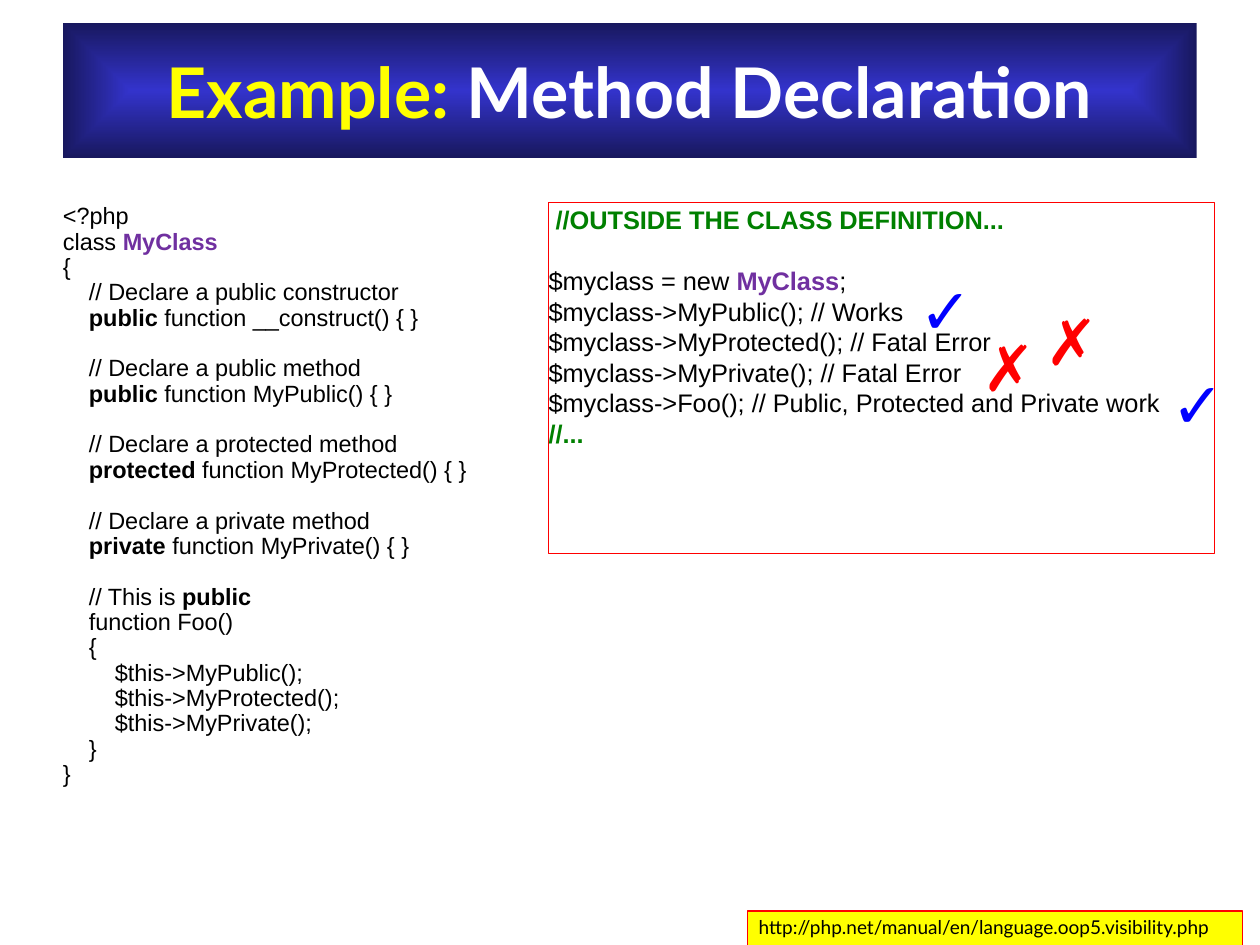
from lxml import etree
from pptx import Presentation
from pptx import util as u
from pptx.dml.color import RGBColor
from pptx.enum import shapes, text
from pptx.oxml import ns

COLORS = {
    "black": "000000", "white": "FFFFFF", "red": "FF0000", "blue": "0000FF",
    "green": "008000", "purple": "7030A0", "yellow": "FFFF00",
    "banner_center": "3333CC", "banner_edge": "18185E",
}

# A line is a list of (words, style) runs; an empty line is a gap above the next.
PLAIN = ("black", False)
KEYWORD = ("black", True)
CLASS_NAME = ("purple", True)
REMARK = ("green", True)

TITLE = [[("Example: ", ("yellow", True)), ("Method Declaration", ("white", True))]]
URL = [[("http://php.net/manual/en/language.oop5.visibility.php", PLAIN)]]
CLASS_CODE = [
    [("<?php", PLAIN)],
    [("class ", PLAIN), ("MyClass", CLASS_NAME)],
    [("{", PLAIN)],
    [("    // Declare a public constructor", PLAIN)],
    [("    ", PLAIN), ("public", KEYWORD), (" function __construct() { }", PLAIN)],
    [],
    [("    // Declare a public method", PLAIN)],
    [("    ", PLAIN), ("public", KEYWORD), (" function MyPublic() { }", PLAIN)],
    [],
    [("    // Declare a protected method", PLAIN)],
    [("    ", PLAIN), ("protected", KEYWORD), (" function MyProtected() { }", PLAIN)],
    [],
    [("    // Declare a private method", PLAIN)],
    [("    ", PLAIN), ("private", KEYWORD), (" function MyPrivate() { }", PLAIN)],
    [],
    [("    // This is ", PLAIN), ("public", KEYWORD)],
    [("    function Foo()", PLAIN)],
    [("    {", PLAIN)],
    [("        $this->MyPublic();", PLAIN)],
    [("        $this->MyProtected();", PLAIN)],
    [("        $this->MyPrivate();", PLAIN)],
    [("    }", PLAIN)],
    [("}", PLAIN)],
]
OUTSIDE_CODE = [
    [(" ", PLAIN), ("//OUTSIDE THE CLASS DEFINITION...", REMARK)],
    [],
    [("$myclass = new ", PLAIN), ("MyClass", CLASS_NAME), (";", PLAIN)],
    [("$myclass->MyPublic(); // Works", PLAIN)],
    [("$myclass->MyProtected(); // Fatal Error", PLAIN)],
    [("$myclass->MyPrivate(); // Fatal Error", PLAIN)],
    [("$myclass->Foo(); // Public, Protected and Private work", PLAIN)],
    [("//...", REMARK)],
]
# Symbol, color, left, top, width
MARKS = [
    ("✗", "red", 9.05, 2.64, 0.58),
    ("✓", "blue", 7.95, 2.37, 0.66),
    ("✓", "blue", 10.15, 3.19, 0.66),
    ("✗", "red", 8.5, 2.87, 0.58),
]
SLIDE_POINTS = (793.75, 595.25)  # 28 by 21 cm, in whole quarter points
LEFT, CODE_TOP = 0.55, 1.77
CODE_INSETS = (0, 0.02, 0, 0)
LABEL_INSETS = (0.1, 0.05, 0.1, 0.05)
LINE_HEIGHT = 1.2  # height of an empty line, in font sizes


def rgb(name):
    return RGBColor.from_string(COLORS[name])


def write(shape, lines, *, size, font="Arial", spacing=1.0, insets=LABEL_INSETS,
          align=text.PP_ALIGN.LEFT, anchor=text.MSO_ANCHOR.TOP, wrap=True, grow=False):
    frame = shape.text_frame
    frame.word_wrap = wrap
    frame.auto_size = (text.MSO_AUTO_SIZE.SHAPE_TO_FIT_TEXT if grow
                       else text.MSO_AUTO_SIZE.NONE)
    frame.vertical_anchor = anchor
    (frame.margin_left, frame.margin_top,
     frame.margin_right, frame.margin_bottom) = map(u.Inches, insets)
    paragraph, gap = frame.paragraphs[0], 0
    for index, line in enumerate(lines):
        if not line:
            gap += size * LINE_HEIGHT * spacing
            continue
        if index:
            paragraph = frame.add_paragraph()
        paragraph.alignment = align
        paragraph.line_spacing = spacing
        if gap:
            paragraph.space_before = u.Pt(round(gap, 1))
        gap = 0
        for words, (color, bold) in line:
            run = paragraph.add_run()
            run.text = words
            run.font.name = font
            run.font.size = u.Pt(size)
            run.font.bold = bold
            run.font.color.rgb = rgb(color)


def add_panel(slide, *box, fill=None, line=None):
    panel = slide.shapes.add_shape(shapes.MSO_SHAPE.RECTANGLE, *map(u.Inches, box))
    panel.shadow.inherit = False
    if fill:
        panel.fill.solid()
        panel.fill.fore_color.rgb = rgb(fill)
    else:
        panel.fill.background()
    if line:
        panel.line.color.rgb = rgb(line)
        panel.line.width = u.Pt(0.75)
    else:
        panel.line.fill.background()
    return panel


def add_text_box(slide, *box):
    return slide.shapes.add_textbox(*map(u.Inches, box))


def fill_from_center(shape, center, edge):
    """Fill with a rectangular gradient that starts in the middle."""
    shape.fill.gradient()
    for stop, color, position in zip(shape.fill.gradient_stops, (center, edge), (0, 1)):
        stop.color.rgb = rgb(color)
        stop.position = position
    gradient = shape.element.spPr.find(ns.qn("a:gradFill"))
    gradient.remove(gradient.find(ns.qn("a:lin")))
    shade = etree.SubElement(gradient, ns.qn("a:path"), {"path": "rect"})
    etree.SubElement(shade, ns.qn("a:fillToRect"), dict.fromkeys("ltrb", "50000"))


def main():
    presentation = Presentation()
    presentation.slide_width, presentation.slide_height = map(u.Pt, SLIDE_POINTS)
    slide = presentation.slides.add_slide(presentation.slide_layouts[6])

    outside = add_panel(slide, 4.8, CODE_TOP, 5.83, 3.07, line="red")
    write(outside, OUTSIDE_CODE, size=16, insets=CODE_INSETS)

    class_box = add_text_box(slide, LEFT, CODE_TOP, 4.49, 6.14)
    write(class_box, CLASS_CODE, size=14.8, spacing=0.9, insets=CODE_INSETS)

    for symbol, color, left, top, width in MARKS:
        mark = add_text_box(slide, left, top, width, 0.74)
        write(mark, [[(symbol, (color, True))]], size=40, spacing=0.95,
              wrap=False, grow=True)

    link = add_panel(slide, 6.54, 7.97, 4.33, 0.48, fill="yellow", line="red")
    write(link, URL, size=12, font="Lato", spacing=0.95, grow=True)

    banner = add_panel(slide, LEFT, 0.2, 9.92, 1.18)
    fill_from_center(banner, "banner_center", "banner_edge")
    write(banner, TITLE, size=44, font="Lato", insets=(0, 0, 0, 0),
          align=text.PP_ALIGN.CENTER, anchor=text.MSO_ANCHOR.MIDDLE)

    presentation.save("out.pptx")


if __name__ == "__main__":
    main()
